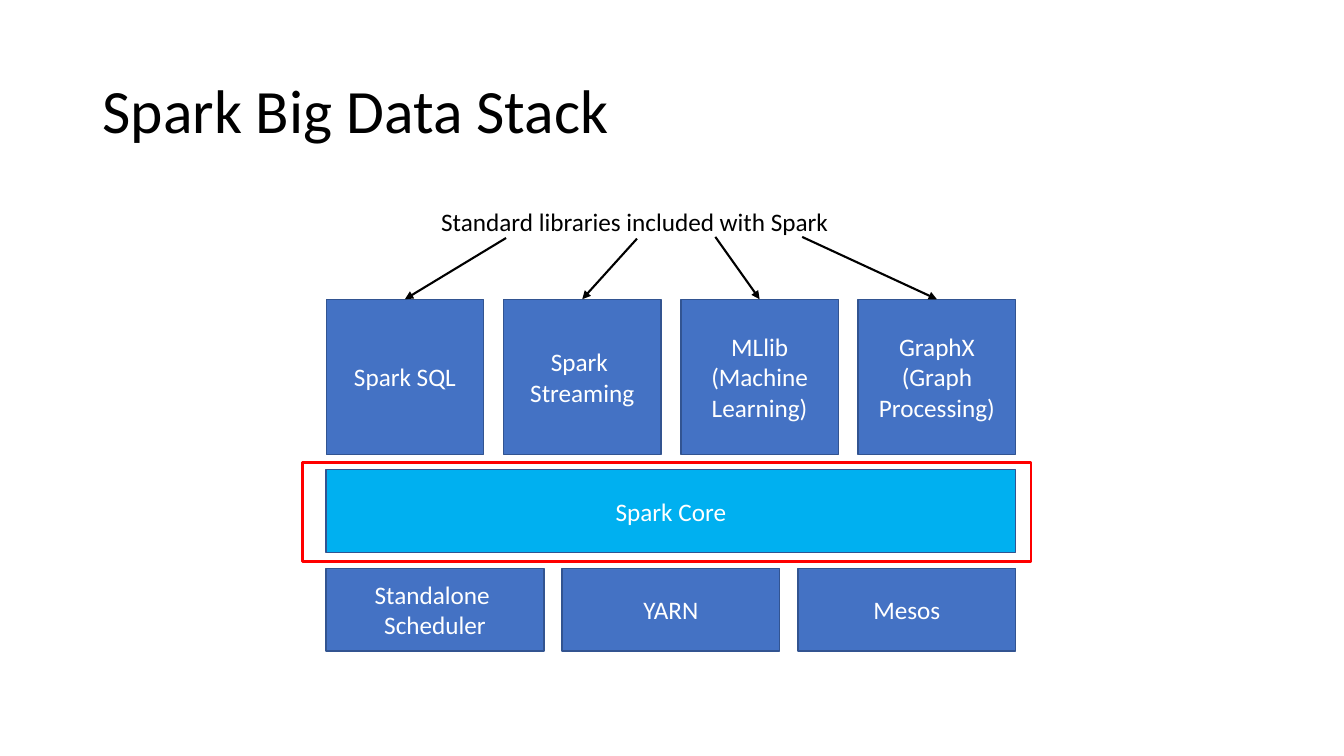
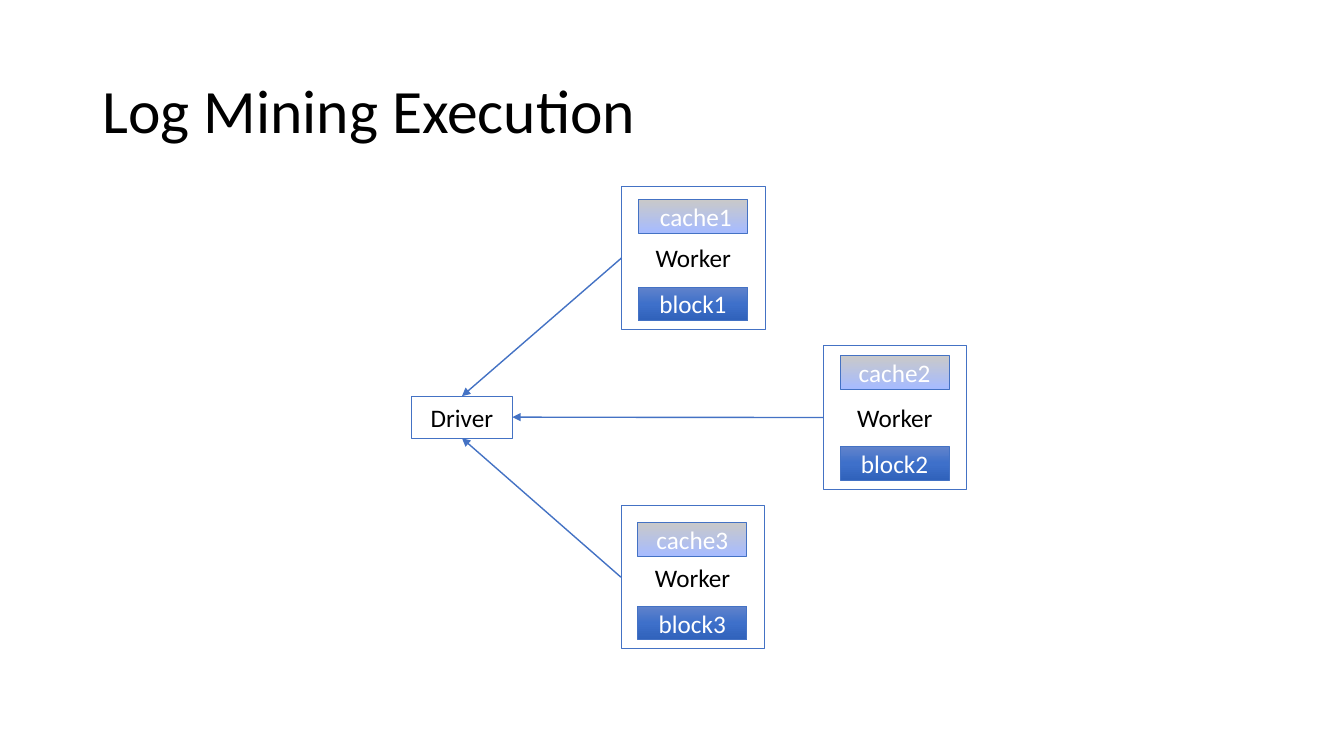
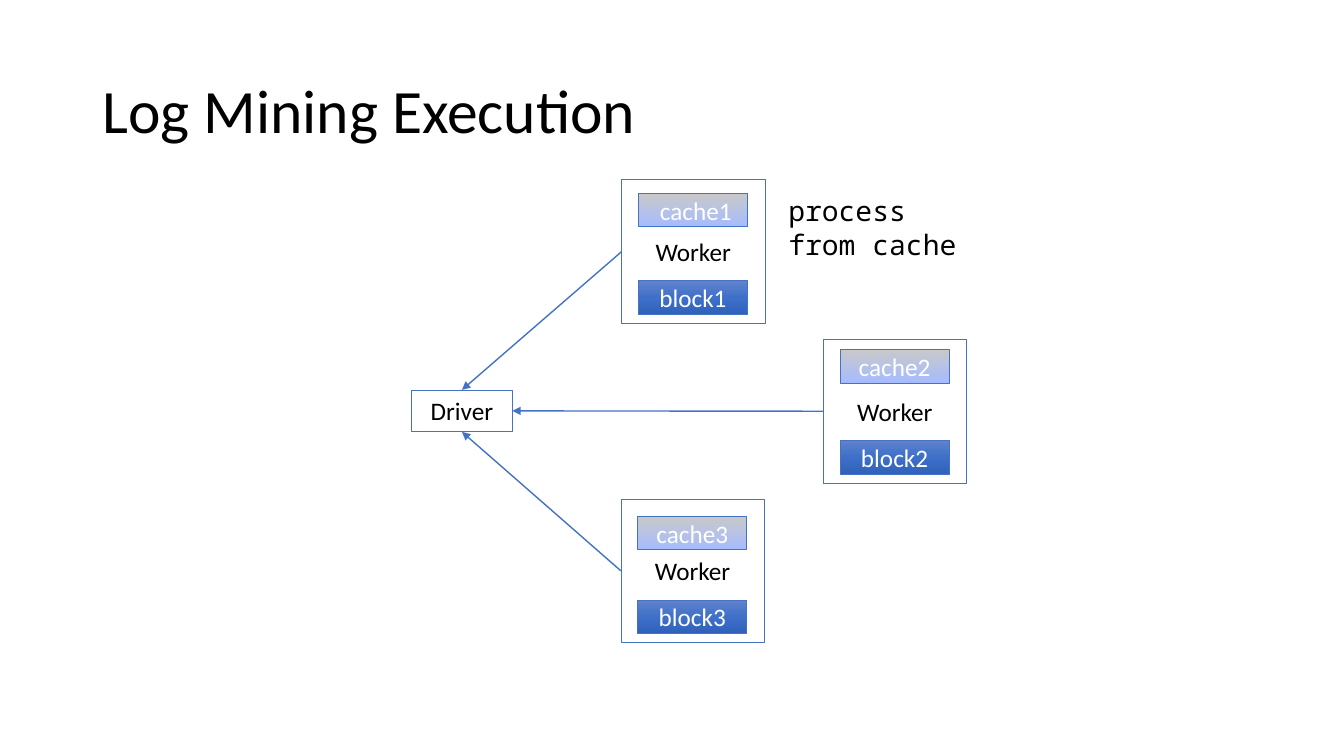
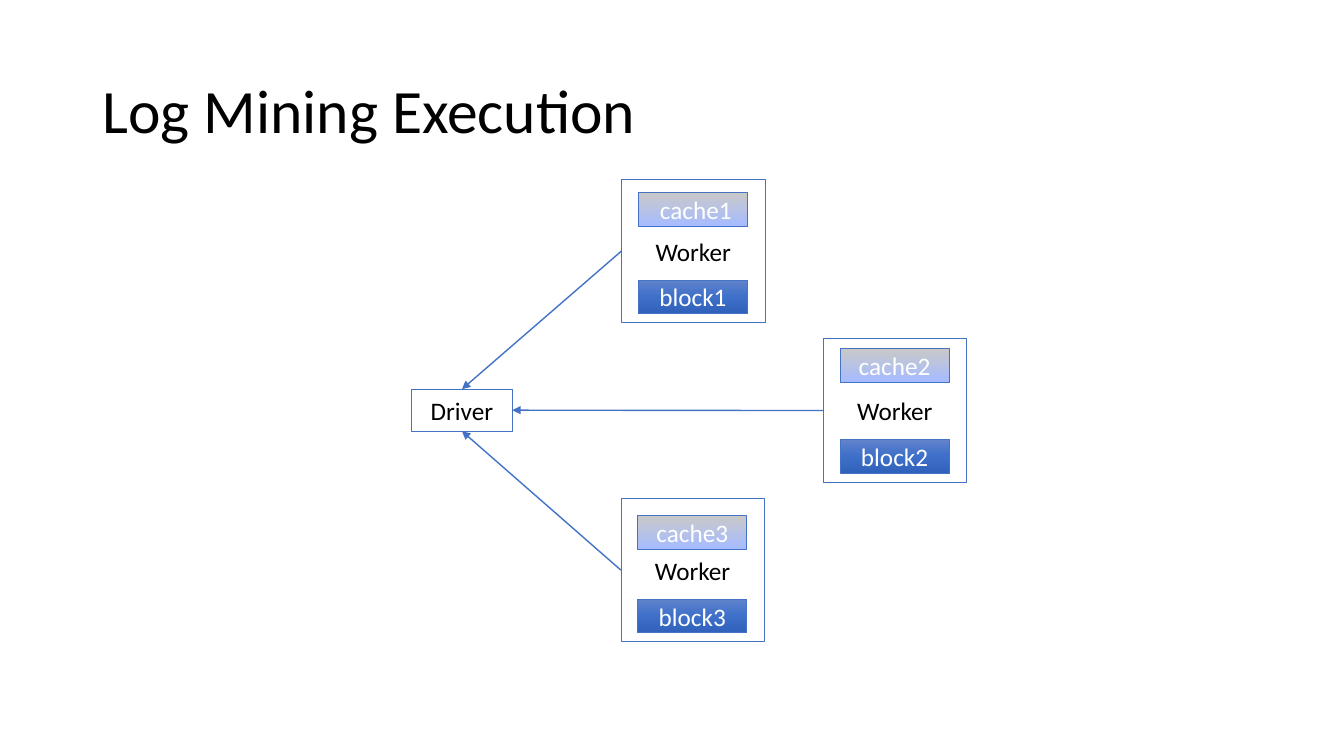
"""Build four slides on the Spark stack and the execution of log mining."""
from lxml.etree import SubElement
from pptx import Presentation
from pptx.dml.color import RGBColor
from pptx.enum.shapes import MSO_CONNECTOR, MSO_SHAPE
from pptx.enum.text import MSO_ANCHOR, MSO_AUTO_SIZE, PP_ALIGN
from pptx.oxml.ns import qn
from pptx.util import Pt

BLACK, WHITE, RED = "000000", "FFFFFF", "FF0000"
BLUE, DARK_BLUE, SKY = "4472C4", "325491", "00B0F0"
BLOCK_STOPS = [(0, "6183CB"), (50, "3E70CA"), (100, "3062BB")]
CACHE_STOPS = [(0, "C9C9C9"), (100, "A6BBFF")]
TOP, LEFT, BOTTOM, RIGHT = range(4)


def add_box(slide, text, left, top, width, height, fill=None, stops=None, line=None,
            line_width=1, color=WHITE, size=18, font="Calibri"):
    """Add a rectangle with centred text, or a plain text box if it has no line."""
    area = Pt(left), Pt(top), Pt(width), Pt(height)
    if line:
        box = slide.shapes.add_shape(MSO_SHAPE.RECTANGLE, *area)
        box.shadow.inherit = False
        box.line.color.rgb = RGBColor.from_string(line)
        box.line.width = Pt(line_width)
        if stops:
            box.fill.gradient()
            box.fill.gradient_angle = 270
            stop_list = box.element.spPr.find(".//" + qn("a:gsLst"))
            stop_list.clear()
            for position, shade in stops:
                stop = SubElement(stop_list, qn("a:gs"), pos=str(position * 1000))
                SubElement(stop, qn("a:srgbClr"), val=shade)
        elif fill:
            box.fill.solid()
            box.fill.fore_color.rgb = RGBColor.from_string(fill)
        else:
            box.fill.background()
    else:
        box = slide.shapes.add_textbox(*area)
        box.text_frame.word_wrap = False
        box.text_frame.auto_size = MSO_AUTO_SIZE.SHAPE_TO_FIT_TEXT
    box.text_frame.text = text
    for para in box.text_frame.paragraphs:
        para.alignment = PP_ALIGN.CENTER if line else PP_ALIGN.LEFT
        for span in para.runs:
            span.font.name = font
            span.font.size = Pt(size)
            span.font.color.rgb = RGBColor.from_string(color)
    return box


def add_arrow(slide, left, top, target, side, color, width):
    """Add an arrow from a point to the middle of one side of a box."""
    arrow = slide.shapes.add_connector(MSO_CONNECTOR.STRAIGHT, left, top, left, top)
    arrow.end_connect(target, side)
    arrow.line.color.rgb = RGBColor.from_string(color)
    arrow.line.width = Pt(width)
    SubElement(arrow.line._get_or_add_ln(), qn("a:tailEnd"), type="triangle")
    SubElement(arrow.element.spPr, qn("a:effectLst"))
    return arrow


deck = Presentation()
deck.slide_width, deck.slide_height = Pt(960), Pt(540)

for heading in ["Spark Big Data Stack"] + ["Log Mining Execution"] * 3:
    title = deck.slides.add_slide(deck.slide_layouts[5]).shapes.title
    title.left, title.top, title.width, title.height = Pt(66), Pt(28.75), Pt(828), Pt(104.4)
    title.text_frame.text = heading
    title.text_frame.auto_size = MSO_AUTO_SIZE.NONE
    title.text_frame.vertical_anchor = MSO_ANCHOR.MIDDLE
    para = title.text_frame.paragraphs[0]
    para.alignment = PP_ALIGN.LEFT
    para.line_spacing = 0.9
    span = para.runs[0]
    span.font.name = "Calibri"
    span.font.size = Pt(44)
    span.font.color.rgb = RGBColor.from_string(BLACK)

stack_slide, *mining_slides = deck.slides

stack_left, stack_width = 233, 492.5
layers = [
    (213.75, 110.75, 112.5, BLUE, ["Spark SQL", "Spark \vStreaming", "MLlib\n(Machine\nLearning)",
                                   "GraphX\n(Graph\vProcessing)"]),
    (335.5, 59, stack_width, SKY, ["Spark Core"]),
    (406, 59, 155.5, BLUE, ["Standalone \vScheduler", "YARN", "Mesos"]),
]
stack_boxes = []
for top, height, width, fill, names in layers:
    step = (stack_width - width) / max(len(names) - 1, 1)
    for index, name in enumerate(names):
        stack_boxes.append(add_box(stack_slide, name, stack_left + index * step, top, width, height,
                                   fill=fill, line=DARK_BLUE))
add_box(stack_slide, "", 216, 330.5, 520.5, 70.5, line=RED, line_width=2)
arrow_starts = [(361.5, 170), (455, 170.5), (511, 169.25), (573, 169.25)]
for (left, top), library in zip(arrow_starts, stack_boxes):
    add_arrow(stack_slide, Pt(left), Pt(top), library, TOP, BLACK, 1.5)
add_box(stack_slide, "Standard libraries included with Spark", 308, 144, 294.5, 29, color=BLACK)

workers = [
    (444, -150, 9.5, " cache1", "block1", TOP),
    (588, -36, 7, "cache2", "block2", RIGHT),
    (443.5, 78, 12.25, "cache3", "block3", BOTTOM),
]
for slide, driver_top in zip(mining_slides, [283, 278.5, 278]):
    driver = add_box(slide, "Driver", 294, driver_top, 72, 30, line=BLUE, line_width=0.5, color=BLACK)
    for left, offset, cache_offset, cache, block, driver_side in workers:
        top = driver_top + offset
        worker = add_box(slide, "Worker", left, top, 102.5, 102.5, line=BLUE, line_width=0.5,
                         color=BLACK)
        for name, inner_top, stops in [(block, 72, BLOCK_STOPS), (cache, cache_offset, CACHE_STOPS)]:
            add_box(slide, name, left + 12, top + inner_top, 78, 24, stops=stops, line=BLUE,
                    line_width=0.5)
        arrow = add_arrow(slide, worker.left, worker.top + worker.height // 2, driver, driver_side,
                          BLUE, 1)
        arrow.begin_connect(worker, LEFT)

add_box(mining_slides[1], "process \vfrom cache", 556, 134.75, 135.5, 55.5, color=BLACK, size=20,
        font="Noto Sans Mono")

deck.save("out.pptx")
